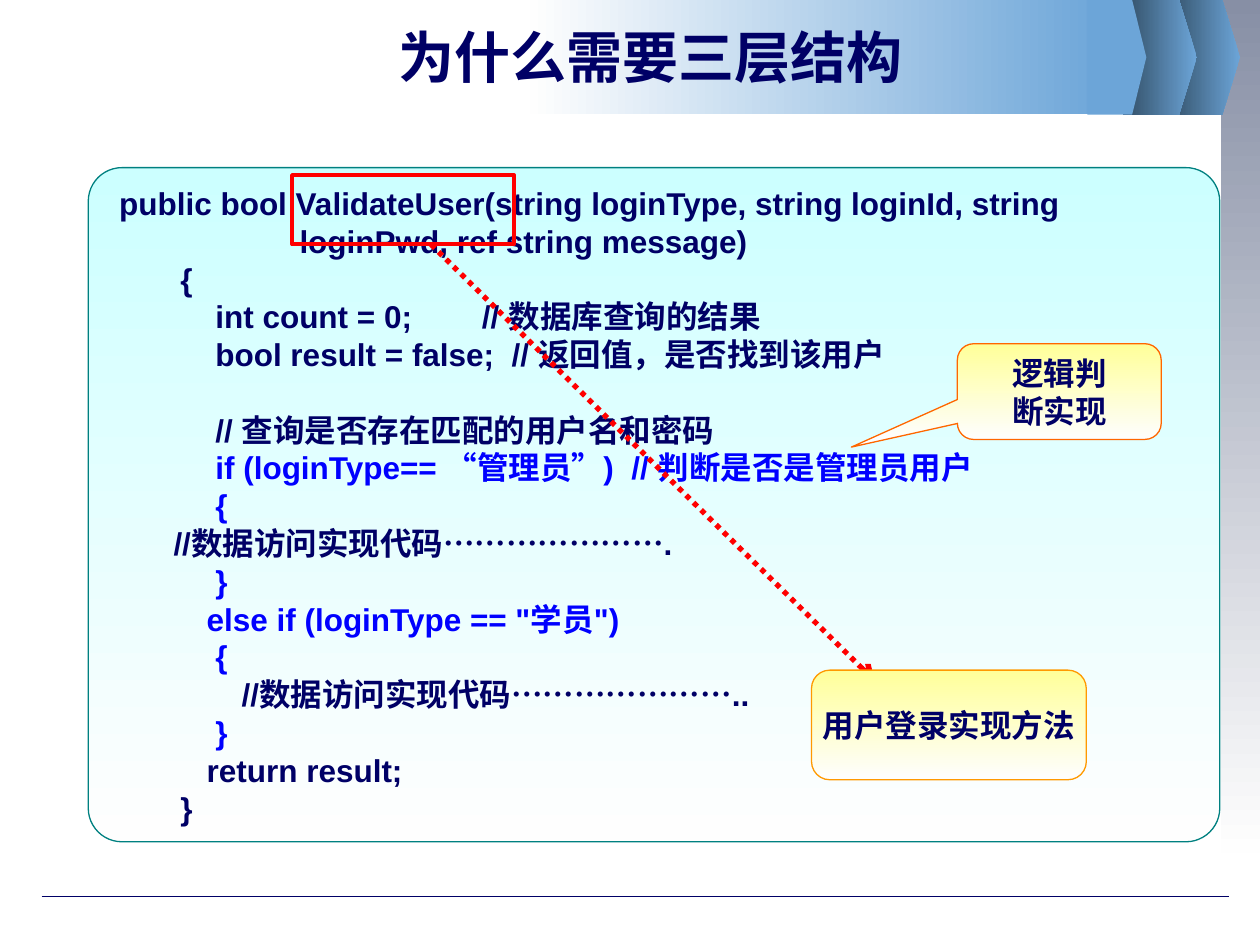
from lxml.etree import SubElement
from pptx import Presentation
from pptx.dml.color import RGBColor
from pptx.enum.dml import MSO_LINE
from pptx.enum.shapes import MSO_CONNECTOR, MSO_SHAPE
from pptx.enum.text import MSO_ANCHOR, PP_ALIGN
from pptx.oxml.ns import qn
from pptx.util import Cm, Pt

NAVY, BLUE, RED, SKY, PALE = "000066", "0000FF", "FF0000", "6CA5D8", "FEFEFE"
DOWN, LEFTWARD = 270, 180
BODY_FONT = {"name": "Arial", "size": Pt(18), "bold": True}
TITLE_FONT = {"name": "DejaVu Sans", "size": Pt(32), "bold": True}
FRAME = {"word_wrap": True, "vertical_anchor": MSO_ANCHOR.MIDDLE,
         "margin_left": Cm(0.25), "margin_right": Cm(0.25),
         "margin_top": Cm(0.13), "margin_bottom": Cm(0.13)}
CENTERED = {"alignment": PP_ALIGN.CENTER}
LEFT = {"alignment": PP_ALIGN.LEFT}
AFTER_GAP = {"alignment": PP_ALIGN.LEFT, "space_before": Pt(21.5)}

CODE_LINES = [
    (" public bool ValidateUser(string loginType, string loginId, string \v"
     "\t\t\tloginPwd, ref string message)", NAVY, LEFT),
    ("        {", NAVY, LEFT),
    ("            int count = 0;        // 数据库查询的结果", NAVY, LEFT),
    ("            bool result = false;  // 返回值，是否找到该用户", NAVY, LEFT),
    ("            // 查询是否存在匹配的用户名和密码", NAVY, AFTER_GAP),
    ("            if (loginType== “管理员”)  // 判断是否是管理员用户", BLUE, LEFT),
    ("            {", BLUE, LEFT),
    ("\t//数据访问实现代码………………….", NAVY, LEFT),
    ("            }", BLUE, LEFT),
    ("           else if (loginType == \"学员\")", BLUE, LEFT),
    ("            {", BLUE, LEFT),
    ("               //数据访问实现代码…………………..", NAVY, LEFT),
    ("            }", BLUE, LEFT),
    ("           return result;", NAVY, LEFT),
    ("        }", NAVY, LEFT),
]


def color(value):
    """Turn a hex string into a colour."""
    return RGBColor.from_string(value)


def apply_format(target, values):
    """Set every attribute named in a dict of format values."""
    for name, value in values.items():
        setattr(target, name, value)


def paint(shape, fill=None, angle=DOWN, line=None, width=0.75):
    """Give a shape its fill (none, plain or two-colour) and outline."""
    shape.shadow.inherit = False
    if fill is None:
        shape.fill.background()
    elif isinstance(fill, str):
        shape.fill.solid()
        shape.fill.fore_color.rgb = color(fill)
    else:
        shape.fill.gradient()
        shape.fill.gradient_angle = angle
        for stop, value in zip(shape.fill.gradient_stops, fill):
            stop.color.rgb = color(value)
    if line:
        shape.line.color.rgb = color(line)
        shape.line.width = Pt(width)
    else:
        shape.line.fill.background()


def add_box(slide, kind, box, adjustments=(), **look):
    """Add a painted preset shape in a box given in centimetres."""
    shape = slide.shapes.add_shape(kind, *map(Cm, box))
    for index, value in enumerate(adjustments):
        shape.adjustments[index] = value
    paint(shape, **look)
    return shape


def add_line(slide, start, end, line, width):
    """Add a straight line without shadow between two points."""
    connector = slide.shapes.add_connector(
        MSO_CONNECTOR.STRAIGHT, *map(Cm, start + end))
    connector.line.color.rgb = color(line)
    connector.line.width = Pt(width)
    SubElement(connector.line._get_or_add_ln().getparent(), qn("a:effectLst"))
    return connector


def write(shape, lines, font=BODY_FONT, **frame_values):
    """Write (text, colour, paragraph format) lines into a shape."""
    frame = shape.text_frame
    apply_format(frame, {**FRAME, **frame_values})
    for index, (text, value, layout) in enumerate(lines):
        paragraph = frame.add_paragraph() if index else frame.paragraphs[0]
        paragraph.text = text
        apply_format(paragraph, layout)
        for run in paragraph.runs:
            apply_format(run.font, font)
            run.font.color.rgb = color(value)


def add_chevron(slide, box, **look):
    """Draw a block with a pointed right side."""
    left, top, width, height = box
    shoulder = left + 0.76 * width
    points = [(shoulder, top), (left + width, top + height / 2),
              (shoulder, top + height), (left, top + height)]
    builder = slide.shapes.build_freeform(Cm(left), Cm(top))
    builder.add_line_segments([(Cm(x), Cm(y)) for x, y in points], close=True)
    paint(builder.convert_to_shape(), **look)


def add_header(slide, box):
    """Draw the header band, its chevrons and the title."""
    left, top, width, height = box
    shade = {"fill": (SKY, "314C63"), "angle": LEFTWARD}
    add_chevron(slide, (left + width - 1.5, top, 1.5, height), **shade)
    add_chevron(slide, (left + width - 2.37, top, 1.5, height), **shade)
    add_box(slide, MSO_SHAPE.RECTANGLE, (left, top, 11.68, height),
            fill=(SKY, PALE), angle=LEFTWARD)
    add_chevron(slide, (left + 11.23, top, 1.19, height), fill=SKY)
    title = slide.shapes.add_textbox(
        Cm(left - 7.51), Cm(top + 0.3), Cm(19.89), Cm(1.65))
    write(title, [("为什么需要三层结构", NAVY, CENTERED)], TITLE_FONT)


def add_code_panel(slide, box):
    """Draw the code panel and the callout on its logic."""
    left, top = box[:2]
    panel = add_box(slide, MSO_SHAPE.ROUNDED_RECTANGLE, box, [0.05],
                    fill=("CCFFFF", PALE), line="008080")
    write(panel, CODE_LINES, vertical_anchor=MSO_ANCHOR.TOP)
    callout = add_box(slide, MSO_SHAPE.ROUNDED_RECTANGULAR_CALLOUT,
                      (left + 17.52, top + 3.55, 4.11, 1.93),
                      [-1.02, 0.58, 0.17], fill=("FFFF99", PALE), line="FF6600")
    write(callout, [(text, NAVY, CENTERED) for text in ("逻辑判", "断实现")])


def add_method_marker(slide, box):
    """Frame the method name and point from it to its label."""
    left, top, width, height = box
    add_box(slide, MSO_SHAPE.RECTANGLE, (left, top, 4.47, 1.4),
            line=RED, width=2.25)
    arrow = add_line(slide, (left + 2.8, top + 1.4),
                     (left + 11.74, top + 10.19), RED, 3)
    arrow.line.dash_style = MSO_LINE.ROUND_DOT
    SubElement(arrow.line._get_or_add_ln(), qn("a:tailEnd"), type="arrow")
    label = add_box(slide, MSO_SHAPE.ROUNDED_RECTANGLE,
                    (left + width - 5.54, top + height - 2.21, 5.54, 2.21),
                    fill=("FFFF99", PALE), line="FF9900")
    write(label, [("用户登录实现方法", NAVY, CENTERED)], word_wrap=False)


def main():
    """Build the slide and save it."""
    presentation = Presentation()
    presentation.slide_width, presentation.slide_height = Cm(25.4), Cm(19.05)
    slide = presentation.slides.add_slide(presentation.slide_layouts[6])
    add_box(slide, MSO_SHAPE.RECTANGLE, (24.61, 0, 0.79, 17.2),
            fill=("878FA5", PALE))
    add_line(slide, (0.84, 18.08), (24.77, 18.08), NAVY, 0.75)
    add_header(slide, (10.69, 0, 14.31, 2.31))
    add_code_panel(slide, (1.78, 3.38, 22.81, 13.59))
    add_method_marker(slide, (5.89, 3.53, 16.01, 12.19))
    presentation.save("out.pptx")


if __name__ == "__main__":
    main()
